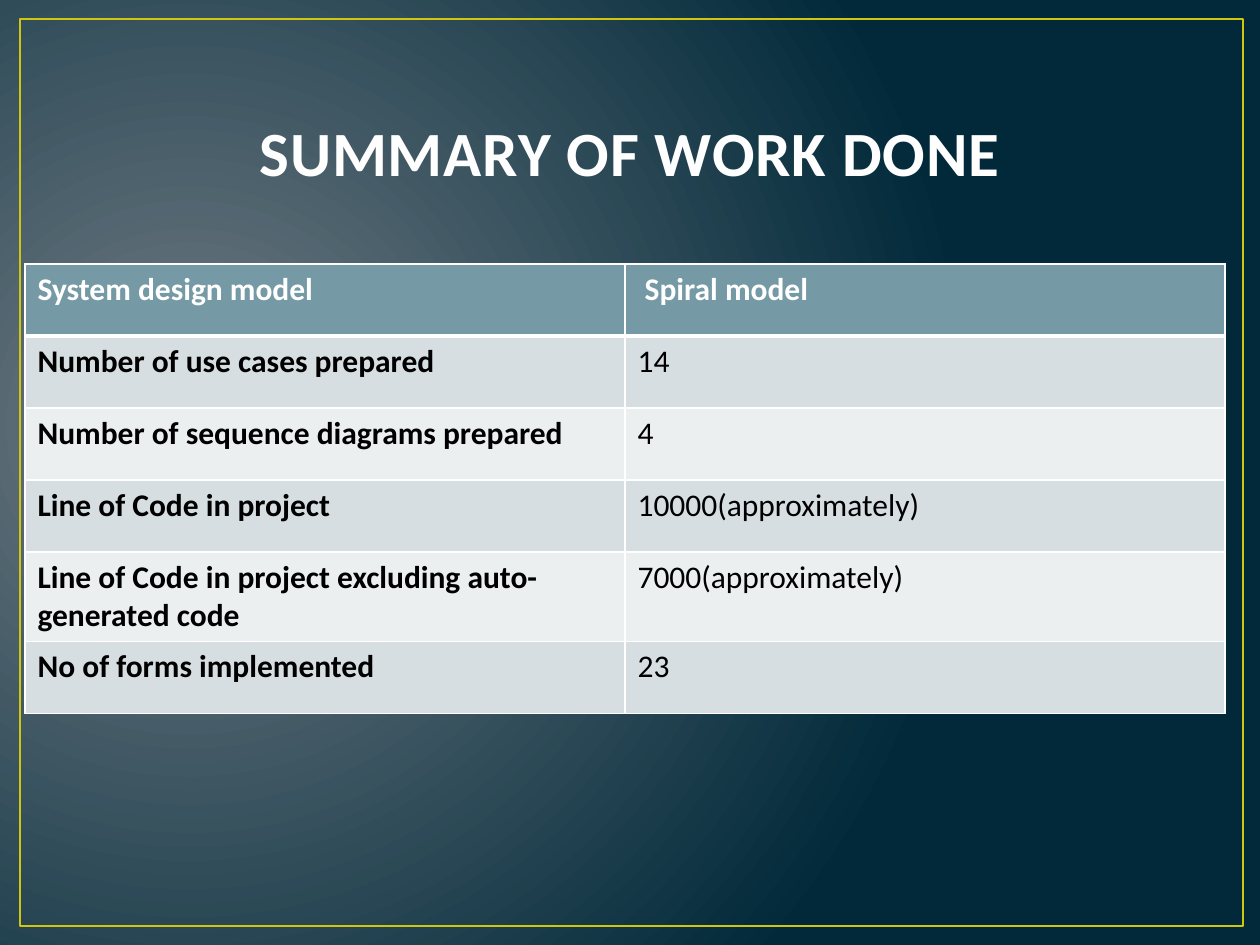
from lxml import etree
from pptx import Presentation
from pptx.dml.color import RGBColor
from pptx.enum.shapes import MSO_SHAPE
from pptx.enum.text import MSO_ANCHOR, PP_ALIGN
from pptx.oxml.ns import qn
from pptx.util import Emu, Pt

RECTANGLE = MSO_SHAPE.RECTANGLE
BOTTOM = MSO_ANCHOR.BOTTOM
LEFT, CENTER = PP_ALIGN.LEFT, PP_ALIGN.CENTER

TITLE = "SUMMARY OF WORK DONE"
ROWS = [
    ("System design model", " Spiral model"),
    ("Number of use cases prepared", "14"),
    ("Number of sequence diagrams prepared", "4"),
    ("Line of Code in project", "10000(approximately)"),
    ("Line of Code in project excluding auto-generated code", "7000(approximately)"),
    ("No of forms implemented", "23"),
]

EMU_PER_PX = 914400 / 126
SLIDE_SIZE = (1260, 945)
FRAME_BOX = (20, 19, 1223, 907)
TITLE_BOX = (63, 38, 1134, 157)
TABLE_LEFT, TABLE_TOP = 25, 264
COLUMN_WIDTH, ROW_HEIGHT = 600, 72

FONT = "Calibri"
WHITE, BLACK, TITLE_COLOR = "FFFFFF", "000000", "FEFEFE"
FRAME_COLOR, TITLE_OUTLINE = "CFC60D", "384F55"
HEADER_FILL, BAND_FILLS = "759AA5", ("D6DEE1", "ECEFF0")
GLOW_STOPS = ((0, "717C84"), (100, "01293A"))
GLOW_CENTER = {"l": 15, "t": 50, "r": 85, "b": 60}


def px(length):
    return Emu(round(length * EMU_PER_PX))


def rgb(value):
    return RGBColor.from_string(value)


def place(shape, box):
    shape.left, shape.top, shape.width, shape.height = map(px, box)


def add_node(parent, tag, **attributes):
    node = etree.SubElement(parent, qn(tag))
    for name, value in attributes.items():
        node.set(name, str(value))
    return node


def add_solid_fill(parent, color):
    add_node(add_node(parent, "a:solidFill"), "a:srgbClr", val=color)


def write(text_frame, text, size=18, color=BLACK, bold=False, align=LEFT):
    para = text_frame.paragraphs[0]
    para.alignment = align
    span = para.add_run()
    span.text = text
    span.font.name = FONT
    span.font.size = Pt(size)
    span.font.bold = bold
    span.font.color.rgb = rgb(color)
    return span


def paint_background(slide):
    """Fill the background with a round glow left of the middle."""
    slide.background.fill.gradient()
    gradient = next(slide.element.iter(qn("a:gradFill")))
    for child in list(gradient):
        gradient.remove(child)
    stops = add_node(gradient, "a:gsLst")
    for position, color in GLOW_STOPS:
        stop = add_node(stops, "a:gs", pos=position * 1000)
        add_node(stop, "a:srgbClr", val=color)
    circle = add_node(gradient, "a:path", path="circle")
    edges = {side: share * 1000 for side, share in GLOW_CENTER.items()}
    add_node(circle, "a:fillToRect", **edges)


def add_frame(slide):
    frame = slide.shapes.add_shape(RECTANGLE, 0, 0, 0, 0)
    place(frame, FRAME_BOX)
    frame.shadow.inherit = False
    frame.fill.background()
    frame.line.color.rgb = rgb(FRAME_COLOR)
    frame.line.width = Pt(1.5)
    slide.shapes.title.element.addprevious(frame.element)


def fill_title(title):
    place(title, TITLE_BOX)
    title.text_frame.vertical_anchor = BOTTOM
    title.text_frame.word_wrap = True
    span = write(title.text_frame, TITLE, size=36, color=TITLE_COLOR,
                 bold=True, align=CENTER)
    properties = span.font.fill._xPr
    properties.set("spc", "50")
    outline = add_node(properties, "a:ln", w=Pt(1.05))
    add_solid_fill(outline, TITLE_OUTLINE)
    properties.insert(0, outline)


def set_borders(cell, **widths):
    """Draw white borders; keywords L, R, T and B give widths in points."""
    properties = cell._tc.get_or_add_tcPr()
    for index, (side, width) in enumerate(widths.items()):
        border = add_node(properties, f"a:ln{side}", w=Pt(width))
        add_solid_fill(border, WHITE)
        properties.insert(index, border)


def add_summary_table(slide):
    row_count, column_count = len(ROWS), len(ROWS[0])
    table = slide.shapes.add_table(
        row_count, column_count, px(TABLE_LEFT), px(TABLE_TOP),
        px(COLUMN_WIDTH * column_count), px(ROW_HEIGHT * row_count)).table
    for column in table.columns:
        column.width = px(COLUMN_WIDTH)
    for row_index, texts in enumerate(ROWS):
        table.rows[row_index].height = px(ROW_HEIGHT)
        is_header = row_index == 0
        fill = HEADER_FILL if is_header else BAND_FILLS[(row_index - 1) % 2]
        for column_index, text in enumerate(texts):
            cell = table.cell(row_index, column_index)
            cell.fill.solid()
            cell.fill.fore_color.rgb = rgb(fill)
            set_borders(cell, L=1, R=1, T=3 if row_index == 1 else 1,
                        B=3 if is_header else 1)
            write(cell.text_frame, text, color=WHITE if is_header else BLACK,
                  bold=is_header or column_index == 0)


def main():
    deck = Presentation()
    deck.slide_width, deck.slide_height = map(px, SLIDE_SIZE)
    slide = deck.slides.add_slide(deck.slide_layouts.get_by_name("Title Only"))
    paint_background(slide)
    add_frame(slide)
    fill_title(slide.shapes.title)
    add_summary_table(slide)
    deck.save("out.pptx")


if __name__ == "__main__":
    main()
